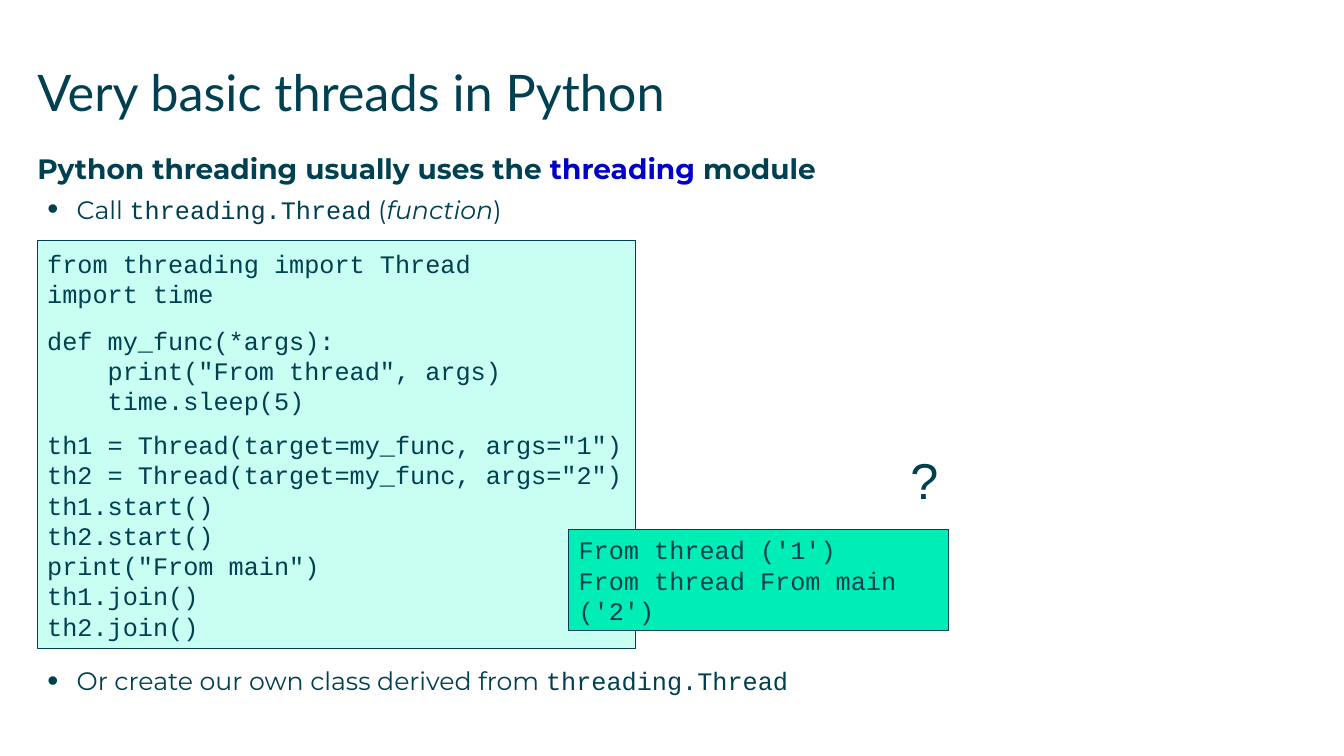
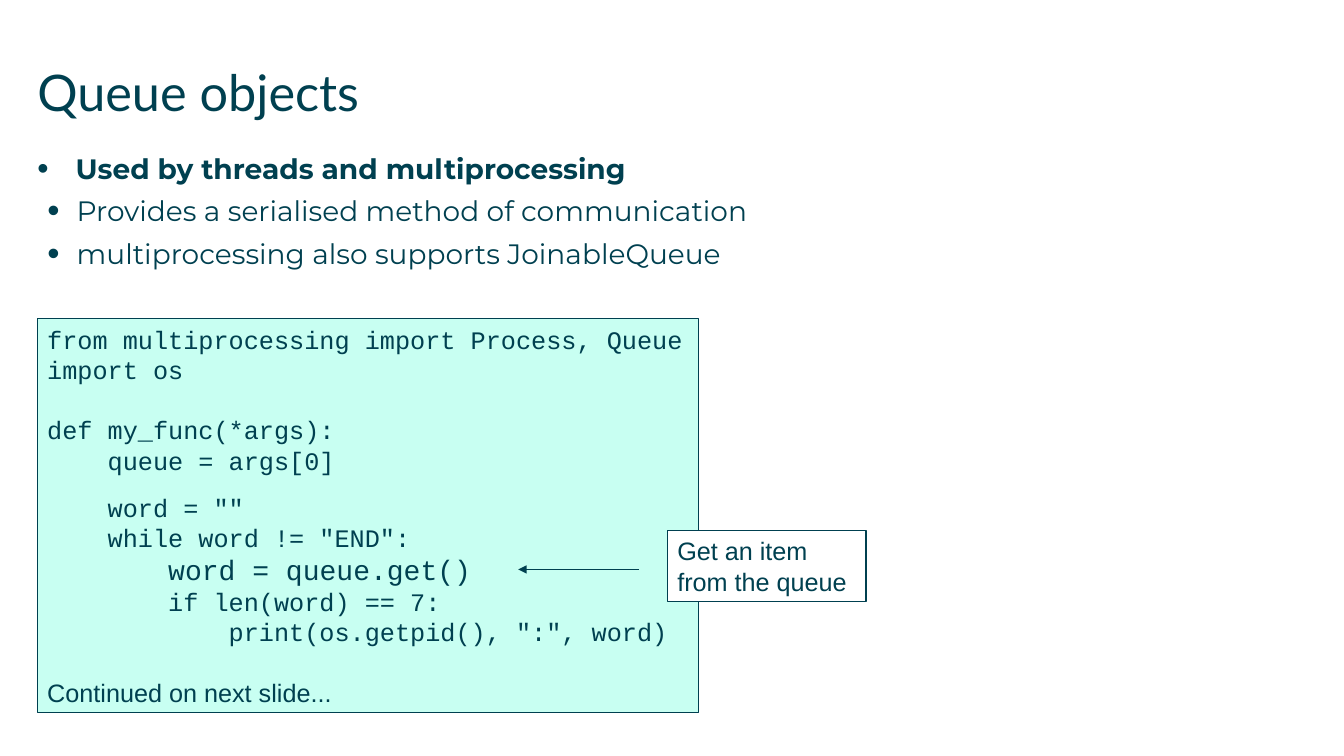
from pptx import Presentation
from pptx.dml.color import RGBColor
from pptx.enum.shapes import MSO_CONNECTOR, MSO_SHAPE
from pptx.enum.text import MSO_ANCHOR, PP_ALIGN
from pptx.oxml.ns import qn
from pptx.util import Inches, Pt
from lxml.etree import SubElement

INK, BLUE, MINT, GREEN, WHITE = "004050", "0000C8", "C8FFF2", "00EDB5", "FFFFFF"
SANS, MONO, BODY, HEAD = "Arial", "Courier New", "Montserrat", "Lato"
CODE_STEP = 0.6
LEADING = 1.2
LEFT, FULL = 2.78, 94.5


def color(hex_code):
    return RGBColor.from_string(hex_code)


class Deck:
    def __init__(self, width, height):
        self.prs = Presentation()
        self.prs.slide_width, self.prs.slide_height = Inches(width), Inches(height)
        self.s = None

    def x(self, share):
        return round(self.prs.slide_width * share / 100)

    def y(self, share):
        return round(self.prs.slide_height * share / 100)

    def area(self, left, top, width, height):
        return self.x(left), self.y(top), self.x(width), self.y(height)

    def slide(self, title):
        self.s = self.prs.slides.add_slide(self.prs.slide_layouts[6])
        tf = self.text_box((LEFT, 8.13, FULL, 11.73))
        self.add_text(tf.paragraphs[0], title, name=HEAD, size=36)

    def text_box(self, area, margin=0, wrap=True):
        tf = self.s.shapes.add_textbox(*self.area(*area)).text_frame
        frame = dict(word_wrap=wrap, margin_left=margin, margin_right=margin,
                     margin_top=margin, margin_bottom=margin)
        for key, value in frame.items():
            setattr(tf, key, value)
        return tf

    def add_text(self, p, text, ink=INK, size=18, **font):
        r = p.add_run()
        r.text = text
        for key, value in dict(font, size=Pt(size)).items():
            setattr(r.font, key, value)
        r.font.color.rgb = color(ink)

    def paragraphs(self, tf, items):
        for i, item in enumerate(items):
            yield (tf.add_paragraph() if i else tf.paragraphs[0]), item

    def bullet(self, p, percent, margin, hang):
        pPr = p._p.get_or_add_pPr()
        pPr.set("marL", str(Inches(margin)))
        pPr.set("indent", str(-Inches(hang)))
        SubElement(pPr, qn("a:buSzPct"), val=str(percent * 1000))
        SubElement(pPr, qn("a:buFont"), typeface=SANS)
        SubElement(pPr, qn("a:buChar"), char="•")

    def points(self, top, height, items):
        tf = self.text_box((LEFT, top, FULL, height))
        for p, (marker, size, runs) in self.paragraphs(tf, items):
            p.space_after = Pt(6.5)
            if marker:
                self.bullet(p, *marker)
            for text, font in runs:
                self.add_text(p, text, **{"size": size, "name": BODY, **font})

    def panel(self, area, fill, lines, name=MONO):
        sp = self.s.shapes.add_shape(MSO_SHAPE.RECTANGLE, *self.area(*area))
        sp.shadow.inherit = False
        sp.fill.solid()
        sp.fill.fore_color.rgb = color(fill)
        sp.line.color.rgb = color(INK)
        sp.line.width = Pt(0.75)
        tf = sp.text_frame
        tf.word_wrap = True
        tf.vertical_anchor = MSO_ANCHOR.MIDDLE
        for p, (depth, text, *extra) in self.paragraphs(tf, lines):
            style = {"gap": 0, "size": 18, "name": name, **(extra[0] if extra else {})}
            spacing = dict(alignment=PP_ALIGN.LEFT,
                           line_spacing=Pt(style["size"] * LEADING),
                           space_before=Pt(style.pop("gap") * LEADING))
            for key, value in spacing.items():
                setattr(p, key, value)
            if depth:
                p._p.get_or_add_pPr().set("marL", str(Inches(depth * CODE_STEP)))
            self.add_text(p, text, **style)

    def mark(self, area, text):
        tf = self.text_box(area, wrap=False)
        tf.margin_left = tf.margin_right = Inches(0.1)
        tf.margin_top = tf.margin_bottom = Inches(0.05)
        p = tf.paragraphs[0]
        p.line_spacing = Pt(36 * LEADING)
        self.add_text(p, text, name=SANS, size=36)

    def arrow(self, start, end, level):
        line = self.s.shapes.add_connector(
            MSO_CONNECTOR.STRAIGHT, self.x(start), self.y(level), self.x(end), self.y(level))
        line.line.color.rgb = color(INK)
        line.line.width = Pt(0.75)
        SubElement(line.line._get_or_add_ln(), qn("a:tailEnd"), type="triangle")
        SubElement(line._element.spPr, qn("a:effectLst"))


TOP_POINT = (115, 0.38, 0.38)
SUB_POINT = (125, 0.39, 0.29)
BOLD, CODE = {"bold": True}, {"name": MONO}


def threads(deck):
    deck.slide("Very basic threads in Python")
    deck.points(20, 11, [
        (None, 20, [("Python threading usually uses the ", BOLD),
                    ("threading", {"bold": True, "ink": BLUE}),
                    (" module", BOLD)]),
        (SUB_POINT, 18, [("Call ", {}), ("threading.Thread", CODE), (" (", {}),
                         ("function", {"italic": True}), (")", {})]),
    ])
    deck.points(88, 4.5, [
        (SUB_POINT, 18, [("Or create our own class derived from ", {}),
                         ("threading.Thread", CODE)]),
    ])
    deck.panel((LEFT, 31.87, 44.49, 53.87), MINT, [
        (0, "from threading import Thread"),
        (0, "import time"),
        (0, "def my_func(*args):", {"gap": 10}),
        (1, 'print("From thread", args)'),
        (1, "time.sleep(5)"),
        (0, 'th1 = Thread(target=my_func, args="1")', {"gap": 8}),
        (0, 'th2 = Thread(target=my_func, args="2")'),
        (0, "th1.start()"),
        (0, "th2.start()"),
        (0, 'print("From main")'),
        (0, "th1.join()"),
        (0, "th2.join()"),
    ])
    deck.panel((42.31, 70, 28.28, 13.47), GREEN, [
        (0, "From thread ('1')"),
        (0, "From thread From main"),
        (0, "('2')"),
    ])
    deck.mark((66.99, 58.8, 3.6, 9.33), "?")


def queues(deck):
    deck.slide("Queue objects")
    deck.points(20, 20, [
        (TOP_POINT, 20, [("Used by threads and multiprocessing", BOLD)]),
        (SUB_POINT, 20, [("Provides a serialised method of communication", {})]),
        (SUB_POINT, 20, [("multiprocessing also supports JoinableQueue", {})]),
    ])
    deck.panel((LEFT, 42.13, 49.21, 52.13), MINT, [
        (0, "from multiprocessing import Process, Queue"),
        (0, "import os"),
        (0, "def my_func(*args):", {"gap": 18}),
        (1, "queue = args[0]"),
        (1, 'word = ""', {"gap": 10}),
        (1, 'while word != "END":'),
        (2, "word = queue.get()", {"size": 20}),
        (2, "if len(word) == 7:"),
        (3, 'print(os.getpid(), ":", word)'),
        (0, "Continued on next slide...", {"gap": 18, "name": SANS}),
    ])
    deck.panel((49.66, 70.13, 14.78, 9.47), WHITE,
               [(0, "Get an item from the queue")], name=SANS)
    deck.arrow(47.56, 38.56, 75.33)


def main():
    deck = Deck(13.33, 7.5)
    threads(deck)
    queues(deck)
    deck.prs.save("out.pptx")


if __name__ == "__main__":
    main()
